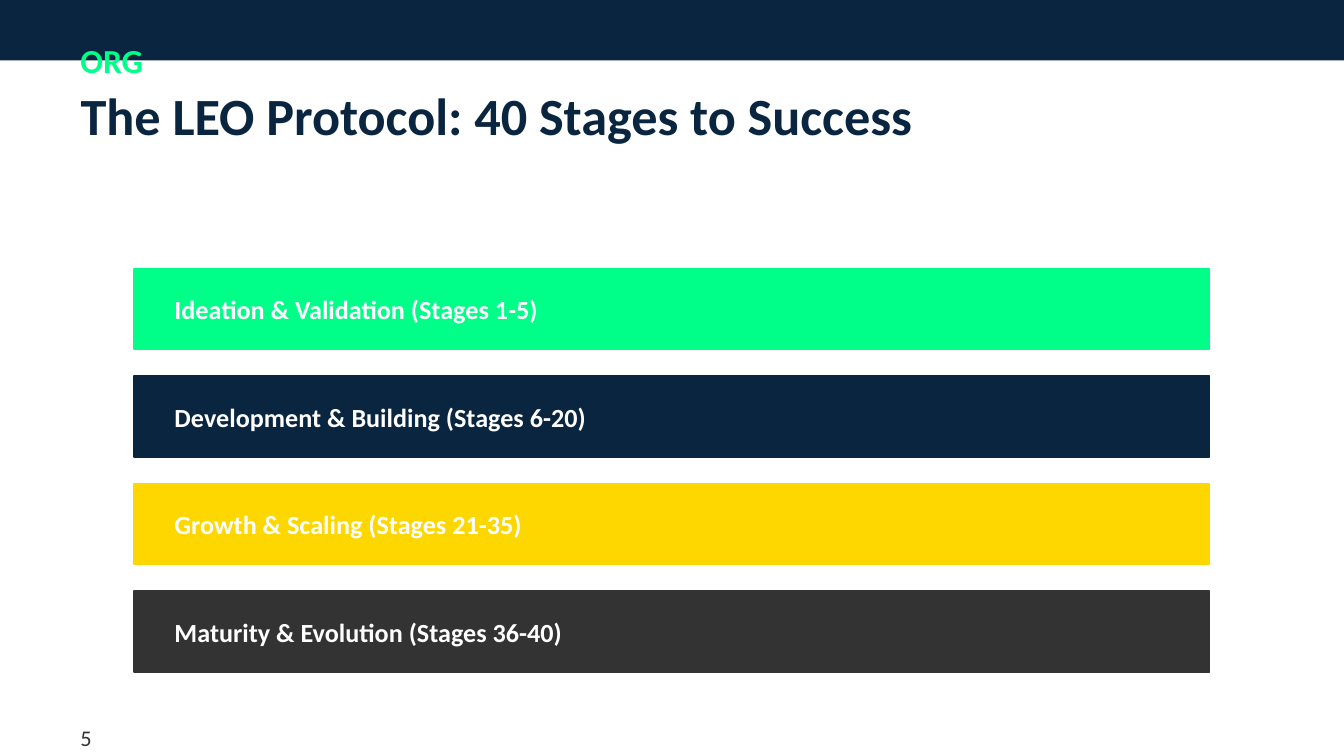
from pptx import Presentation
from pptx import util as u
from pptx.dml import color
from pptx.enum import shapes, text

NAVY, GREEN, GOLD = "0A2540", "00FF88", "FFD700"
CHARCOAL, WHITE = "333333", "FFFFFF"


def rgb(value):
    return color.RGBColor.from_string(value)


class SlideBuilder:
    font = "Calibri"

    def __init__(self, slide):
        self.slide = slide

    def set_text(self, box, words, size, ink, bold=True, anchor=text.MSO_ANCHOR.MIDDLE):
        frame = box.text_frame
        frame.text = words
        frame.word_wrap = True
        frame.auto_size = text.MSO_AUTO_SIZE.NONE
        frame.vertical_anchor = anchor
        para = frame.paragraphs[0]
        para.alignment = text.PP_ALIGN.LEFT
        span = para.runs[0]
        span.font.name = self.font
        span.font.size = u.Pt(size)
        span.font.bold = bold
        span.font.color.rgb = rgb(ink)

    def title(self, words, left, top, width, height):
        box = self.slide.shapes.title
        box.left, box.top = u.Pt(left), u.Pt(top)
        box.width, box.height = u.Pt(width), u.Pt(height)
        self.set_text(box, words, 28, NAVY)

    def label(self, words, left, top, width, height, size, ink, **style):
        box = self.slide.shapes.add_textbox(
            u.Pt(left), u.Pt(top), u.Pt(width), u.Pt(height))
        self.set_text(box, words, size, ink, **style)

    def bar(self, left, top, width, height, fill, outlined=True):
        box = self.slide.shapes.add_shape(
            shapes.MSO_SHAPE.RECTANGLE,
            u.Pt(left), u.Pt(top), u.Pt(width), u.Pt(height))
        box.shadow.inherit = False
        box.fill.solid()
        box.fill.fore_color.rgb = rgb(fill)
        if outlined:
            box.line.color.rgb = rgb(fill)
            box.line.width = u.Pt(1)
        else:
            box.line.fill.background()


def main():
    deck = Presentation()
    deck.slide_width, deck.slide_height = u.Pt(720), u.Pt(405)
    page = SlideBuilder(deck.slides.add_slide(deck.slide_layouts[5]))

    # Header band, organisation name and title
    page.bar(0, 0, 720, 32.4, NAVY, outlined=False)
    page.label("ORG", 36, 14.4, 72, 36, 18, GREEN)
    page.title("The LEO Protocol: 40 Stages to Success", 36, 36, 648, 50.4)

    # One bar per phase, evenly spaced
    phases = [
        ("Ideation & Validation (Stages 1-5)", GREEN),
        ("Development & Building (Stages 6-20)", NAVY),
        ("Growth & Scaling (Stages 21-35)", GOLD),
        ("Maturity & Evolution (Stages 36-40)", CHARCOAL),
    ]
    for index, (phase, fill) in enumerate(phases):
        top = 144 + index * 57.6
        page.bar(72, top, 576, 43.2, fill)
        page.label(phase, 86.4, top + 7.2, 540, 28.8, 14, WHITE)

    # Page number
    page.label("5", 36, 384.5, 62.6, 23.8, 12, CHARCOAL,
               bold=False, anchor=text.MSO_ANCHOR.TOP)

    deck.save("out.pptx")


if __name__ == "__main__":
    main()
